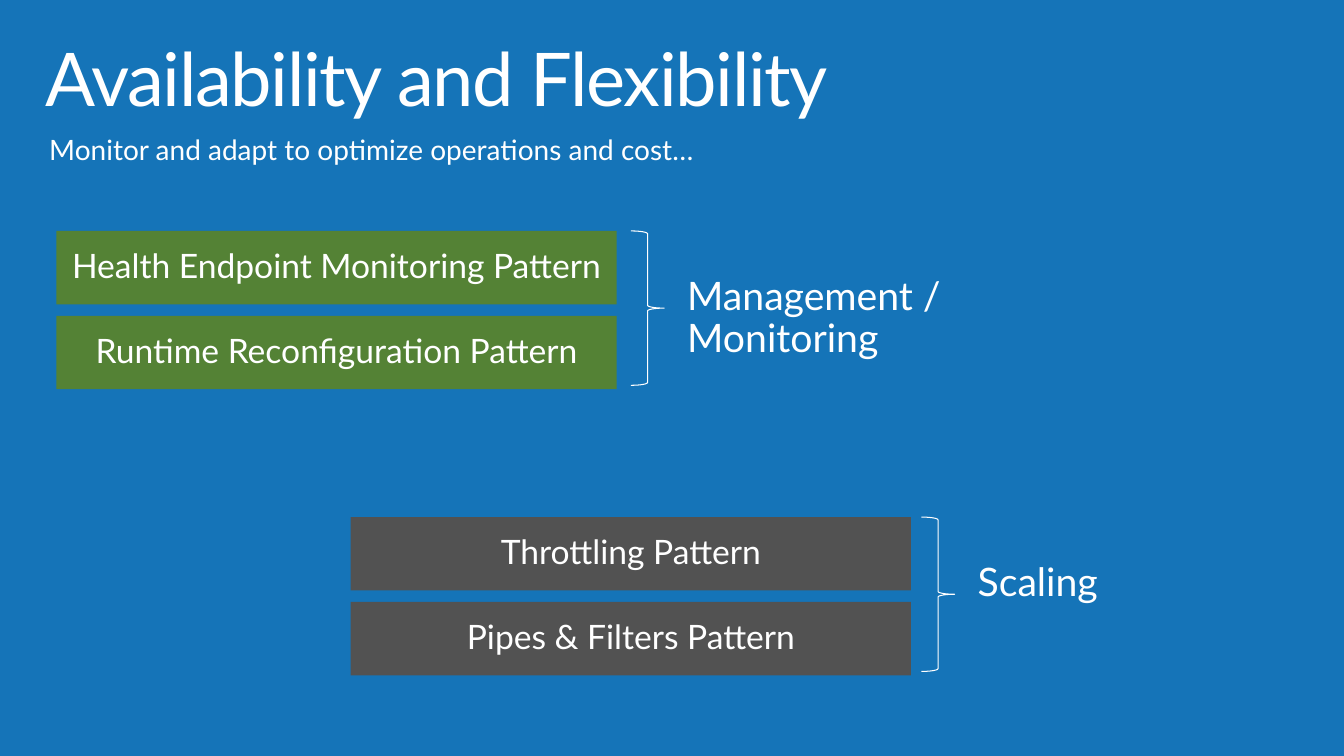
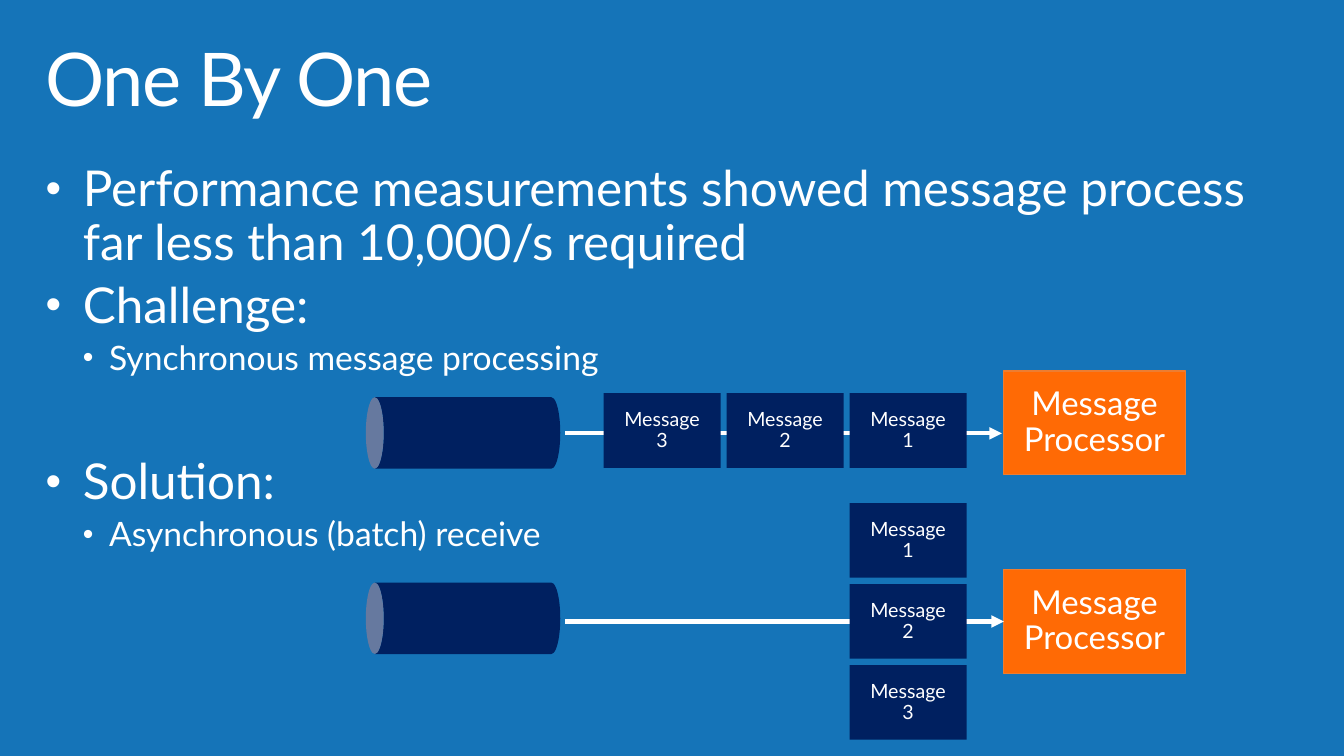
from lxml.etree import SubElement
from pptx import Presentation
from pptx.dml.color import RGBColor
from pptx.enum.shapes import MSO_CONNECTOR, MSO_SHAPE
from pptx.enum.text import MSO_ANCHOR, MSO_AUTO_SIZE, PP_ALIGN
from pptx.oxml.ns import qn
from pptx.util import Cm, Pt

COLORS = {
    "background": "1574B8",
    "text": "FFFFFF",
    "management": "548235",
    "scaling": "525252",
    "message": "002060",
    "processor": "FF6A05",
    "processor_edge": "ED7D31",
}
FONT = "Lato"
TITLE_ONLY, TITLE_AND_BODY = 5, 1
MARGIN, CONTENT_WIDTH = 0.74, 32.05


def color(name):
    return RGBColor.from_string(COLORS[name])


class Deck:
    """Holds the shared style and the slide being built; lengths are in cm."""

    def __init__(self):
        self.prs = Presentation()
        self.prs.slide_width, self.prs.slide_height = Cm(33.87), Cm(19.05)
        fill = self.prs.slide_master.background.fill
        fill.solid()
        fill.fore_color.rgb = color("background")
        self.slide = None

    def new_slide(self, layout, title):
        self.slide = self.prs.slides.add_slide(self.prs.slide_layouts[layout])
        heading = self.slide.shapes.title
        self.place(heading, MARGIN, 0.81, CONTENT_WIDTH, 2.49)
        paragraph = heading.text_frame.paragraphs[0]
        self.set_text(paragraph, title, 52.9)
        paragraph.runs[0]._r.get_or_add_rPr().set("spc", "-100")

    def place(self, holder, left, top, width, height):
        holder.left, holder.top = Cm(left), Cm(top)
        holder.width, holder.height = Cm(width), Cm(height)
        frame = holder.text_frame
        frame.auto_size = MSO_AUTO_SIZE.NONE
        frame.vertical_anchor = MSO_ANCHOR.TOP
        frame.margin_left = frame.margin_right = Cm(0.41)
        frame.margin_top = frame.margin_bottom = Cm(0.25)

    def set_text(self, paragraph, text, size, align=PP_ALIGN.LEFT):
        paragraph.text = text
        paragraph.alignment = align
        paragraph.line_spacing = 0.9
        font = paragraph.font
        font.name, font.size = FONT, Pt(size)
        font.color.rgb = color("text")

    def bullets(self, items):
        """Fill the body with (level, text, points before) items."""
        body = self.slide.placeholders[1]
        self.place(body, MARGIN, 3.89, CONTENT_WIDTH, 10.64)
        frame = body.text_frame
        for i, (level, text, before) in enumerate(items):
            paragraph = frame.add_paragraph() if i else frame.paragraphs[0]
            paragraph.level = level
            paragraph.space_before = Pt(before)
            size, left, hanging = ((35.3, 0.94, 0.94), (24, 1.6, 0.66))[level]
            props = paragraph._p.get_or_add_pPr()
            props.set("marL", str(Cm(left)))
            props.set("indent", str(-Cm(hanging)))
            SubElement(props, qn("a:buSzPct"), val="90000")
            SubElement(props, qn("a:buFont"), typeface="Arial")
            SubElement(props, qn("a:buChar"), char="•")
            self.set_text(paragraph, text, size)

    def label(self, text, left, top, width, size):
        box = self.slide.shapes.add_textbox(Cm(left), Cm(top), Cm(width), Cm(1.85))
        box.text_frame.word_wrap = True
        paragraph = box.text_frame.paragraphs[0]
        paragraph._p.get_or_add_pPr().set("marL", str(Cm(0.25)))
        self.set_text(paragraph, text, size)

    def shape(self, kind, left, top, width, height, fill=None, edge=None):
        shape = self.slide.shapes.add_shape(
            kind, Cm(left), Cm(top), Cm(width), Cm(height))
        shape.shadow.inherit = False
        if fill:
            shape.fill.solid()
            shape.fill.fore_color.rgb = color(fill)
        else:
            shape.fill.background()
        if edge:
            shape.line.color.rgb = color(edge)
            shape.line.width = Pt(0.75)
        else:
            shape.line.fill.background()
        return shape

    def box(self, text, left, top, width, height, size, fill, edge=None):
        box = self.shape(MSO_SHAPE.RECTANGLE, left, top, width, height, fill, edge)
        frame = box.text_frame
        frame.word_wrap = False
        frame.vertical_anchor = MSO_ANCHOR.MIDDLE
        self.set_text(frame.paragraphs[0], text, size, PP_ALIGN.CENTER)
        return box

    def pattern_group(self, patterns, left, top, fill, brace_left, topic, topic_width):
        for i, pattern in enumerate(patterns):
            self.box(pattern, left, top + i * 2.14, 14.12, 1.85, 24, fill)
        self.shape(MSO_SHAPE.RIGHT_BRACE, brace_left, top, 0.84, 3.89, edge="text")
        self.label(topic, brace_left + 0.92, top + 1.03, topic_width, 28)

    def message(self, number, left, top):
        self.box(f"Message\n{number}", left, top, 2.95, 1.88, 14, "message")

    def processor(self, top):
        return self.box("Message\nProcessor", 25.3, top, 4.57, 2.62, 23.5,
                        "processor", "processor_edge")

    def queue(self, top):
        self.shape(MSO_SHAPE.CAN, 10.77, top, 1.8, 4.9, "message").rotation = 270

    def arrow(self, y, target=None):
        arrow = self.slide.shapes.add_connector(
            MSO_CONNECTOR.STRAIGHT, Cm(14.25), Cm(y), Cm(25.25), Cm(y))
        if target is not None:
            arrow.end_connect(target, 1)
        arrow.line.color.rgb = color("text")
        arrow.line.width = Pt(3)
        SubElement(arrow.line._get_or_add_ln(), qn("a:tailEnd"), type="triangle")
        SubElement(arrow._element.spPr, qn("a:effectLst"))


def availability(deck):
    deck.new_slide(TITLE_ONLY, "Availability and Flexibility")
    deck.label("Monitor and adapt to optimize operations and cost…",
               MARGIN, 3.3, CONTENT_WIDTH, 20)
    deck.pattern_group(
        ["Health Endpoint Monitoring Pattern", "Runtime Reconfiguration Pattern"],
        1.42, 5.82, "management", 15.9, "Management / Monitoring", 9.58)
    deck.pattern_group(
        ["Throttling Pattern", "Pipes & Filters Pattern"],
        8.84, 13.03, "scaling", 23.22, "Scaling", 5.23)


def one_by_one(deck):
    deck.new_slide(TITLE_AND_BODY, "One By One")
    deck.bullets([
        (0, "Performance measurements showed message process "
            "far less than 10,000/s required", 0),
        (0, "Challenge:", 7),
        (1, "Synchronous message processing", 5),
        (0, "Solution:", 57),  # leaves room for the first diagram
        (1, "Asynchronous (batch) receive", 5),
    ])

    last_left = 21.41
    # Synchronous: messages queue up in a row
    deck.processor(9.35)
    deck.queue(8.46)
    deck.arrow(10.92)
    for i in range(3):
        deck.message(i + 1, last_left - i * 3.1, 9.91)

    # Asynchronous: messages arrive as a stacked batch
    batch_processor = deck.processor(14.35)
    deck.queue(13.13)
    deck.arrow(15.66, batch_processor)
    for i in range(3):
        deck.message(i + 1, last_left, 12.68 + i * 2.04)


def main():
    deck = Deck()
    availability(deck)
    one_by_one(deck)
    deck.prs.save("out.pptx")


if __name__ == "__main__":
    main()
